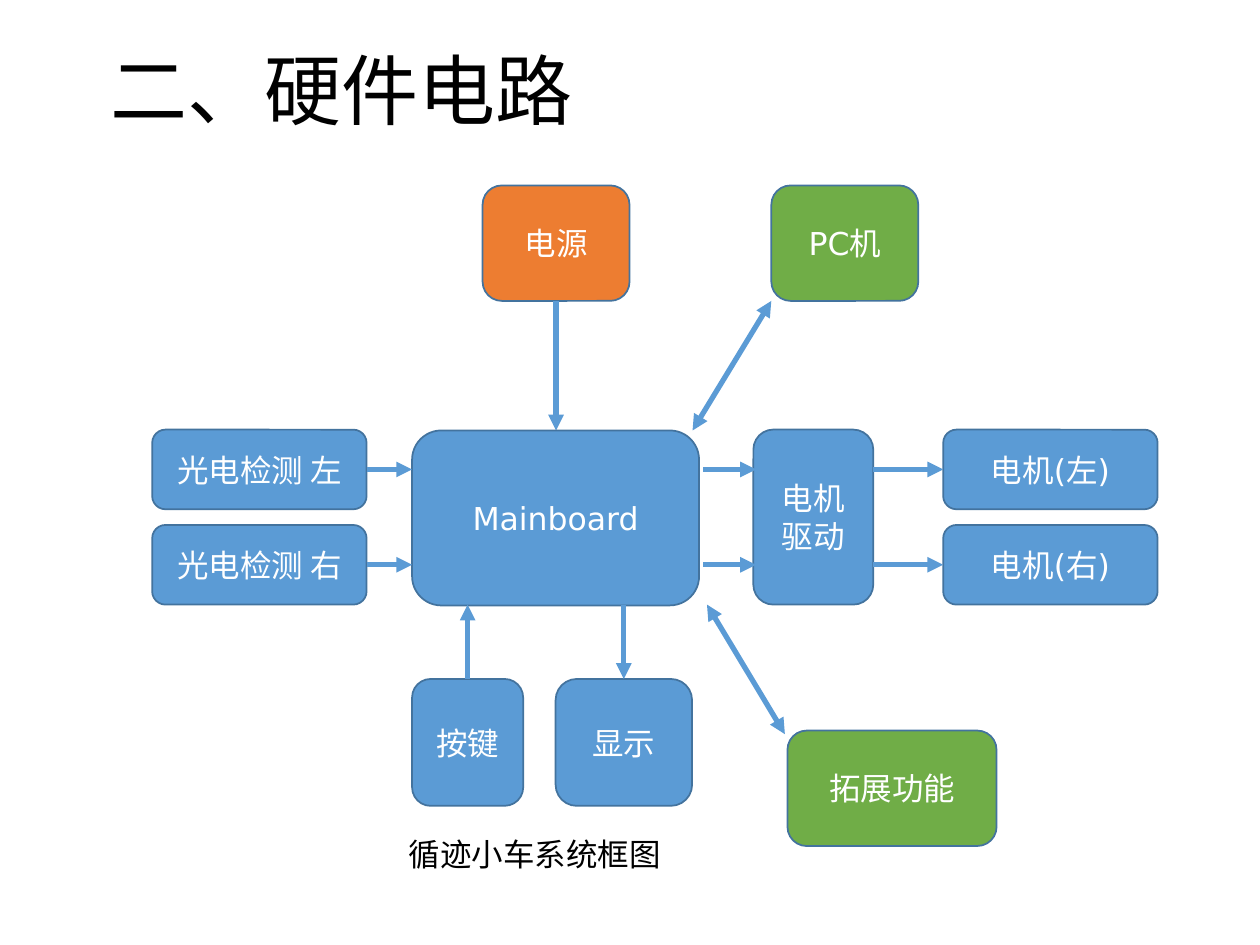
from pptx import Presentation
from pptx.dml.color import RGBColor
from pptx.enum import shapes as sh, text as tx
from pptx.oxml import ns, xmlchemy as xc
from pptx.util import Pt

HUES = {"blue": "5B9BD5", "edge": "43739E", "green": "70AD47",
        "orange": "ED7D31", "white": "FFFFFF", "black": "000000"}
BODY = {"name": "DejaVu Sans", "size": Pt(18)}
HEAD = {"name": "Noto Sans Mono", "size": Pt(44)}
MID = tx.MSO_ANCHOR.MIDDLE


def hue(name):
    return RGBColor.from_string(HUES[name])


def apply(item, form):
    for key, val in form.items():
        setattr(item, key, val)


def write(frame, words, font, tone, form, para):
    apply(frame, form)
    line = frame.paragraphs[0]
    apply(line, para)
    run = line.add_run()
    run.text = words
    apply(run.font, font)
    run.font.color.rgb = hue(tone)


def node(slide, box, words, tone="blue"):
    shape = slide.shapes.add_shape(
        sh.MSO_SHAPE.ROUNDED_RECTANGLE, *map(Pt, box))
    shape.shadow.inherit = False
    shape.fill.solid()
    shape.fill.fore_color.rgb = hue(tone)
    shape.line.color.rgb = hue("edge")
    shape.line.width = Pt(1)
    write(shape.text_frame, words, BODY, "white",
          {"word_wrap": True, "vertical_anchor": MID},
          {"alignment": tx.PP_ALIGN.CENTER})


def arrow(slide, start, end, both=False):
    link = slide.shapes.add_connector(
        sh.MSO_CONNECTOR.STRAIGHT, *map(Pt, start + end))
    link.line.color.rgb = hue("blue")
    link.line.width = Pt(3)
    line = link.line._get_or_add_ln()
    for tag in ("a:headEnd", "a:tailEnd") if both else ("a:tailEnd",):
        tip = xc.OxmlElement(tag)
        tip.set("type", "triangle")
        line.append(tip)
    prop = link._element.find(ns.qn("p:spPr"))
    prop.append(xc.OxmlElement("a:effectLst"))


def label(slide, box, words, font, form, para):
    area = slide.shapes.add_textbox(*map(Pt, box))
    write(area.text_frame, words, font, "black", form, para)


def title(slide, box):
    label(slide, box, "二、硬件电路", HEAD,
          {"word_wrap": True, "vertical_anchor": MID},
          {"line_spacing": 0.9})


def caption(slide, box):
    label(slide, box, "循迹小车系统框图", BODY,
          {"word_wrap": False, "auto_size": tx.MSO_AUTO_SIZE.SHAPE_TO_FIT_TEXT},
          {})


def supply(slide, box):
    x, y, w, h = box
    wide, high = 84, 66
    node(slide, (x, y, wide, high), "电源", "orange")
    node(slide, (x + w - wide, y, wide, high), "PC机", "green")
    arrow(slide, (x + wide / 2, y + high), (x + wide / 2, y + h))
    arrow(slide, (x + 120, y + h), (x + w - wide, y + high), True)


def flow(slide, box):
    x, y, w, h = box
    wide, high = 122.5, 45.5
    core, drive = x + 148.5, x + 343.5
    far = x + w - wide
    node(slide, (core, y + 0.5, 164, h), "Mainboard")
    node(slide, (drive, y, 68.5, h), "电机驱动")
    for row, side in enumerate("左右"):
        top = y + row * (h - high)
        mid = top + high / 2
        node(slide, (x, top, wide, high), f"光电检测 {side}")
        node(slide, (far, top, wide, high), f"电机({side})")
        for left, right in ((x + wide, core),
                            (core + 166.5, drive + 1.5),
                            (drive + 68.5, far)):
            arrow(slide, (left, mid), (right, mid))


def panel(slide, box):
    x, y, w, h = box
    top, high = y + 42.5, 72.5
    key, show = x + 31.75, x + 121
    node(slide, (x, top, 63.5, high), "按键")
    node(slide, (x + 82, top, 78, high), "显示")
    node(slide, (x + w - 119.5, y + h - 66, 119.5, 66), "拓展功能", "green")
    arrow(slide, (key, top), (key, y))
    arrow(slide, (show, y), (show, top))
    arrow(slide, (x + 168.5, y), (x + 213, y + 74), True)


def main():
    deck = Presentation()
    deck.slide_width, deck.slide_height = Pt(720), Pt(540)
    slide = deck.slides.add_slide(deck.slide_layouts[6])
    supply(slide, (275.75, 106, 249, 140))
    flow(slide, (87, 245.5, 574.5, 100))
    panel(slide, (235.5, 345.5, 334, 138))
    caption(slide, (226.5, 473.5, 160, 29))
    title(slide, (56, 1.5, 318, 104.5))
    deck.save("out.pptx")


if __name__ == "__main__":
    main()
